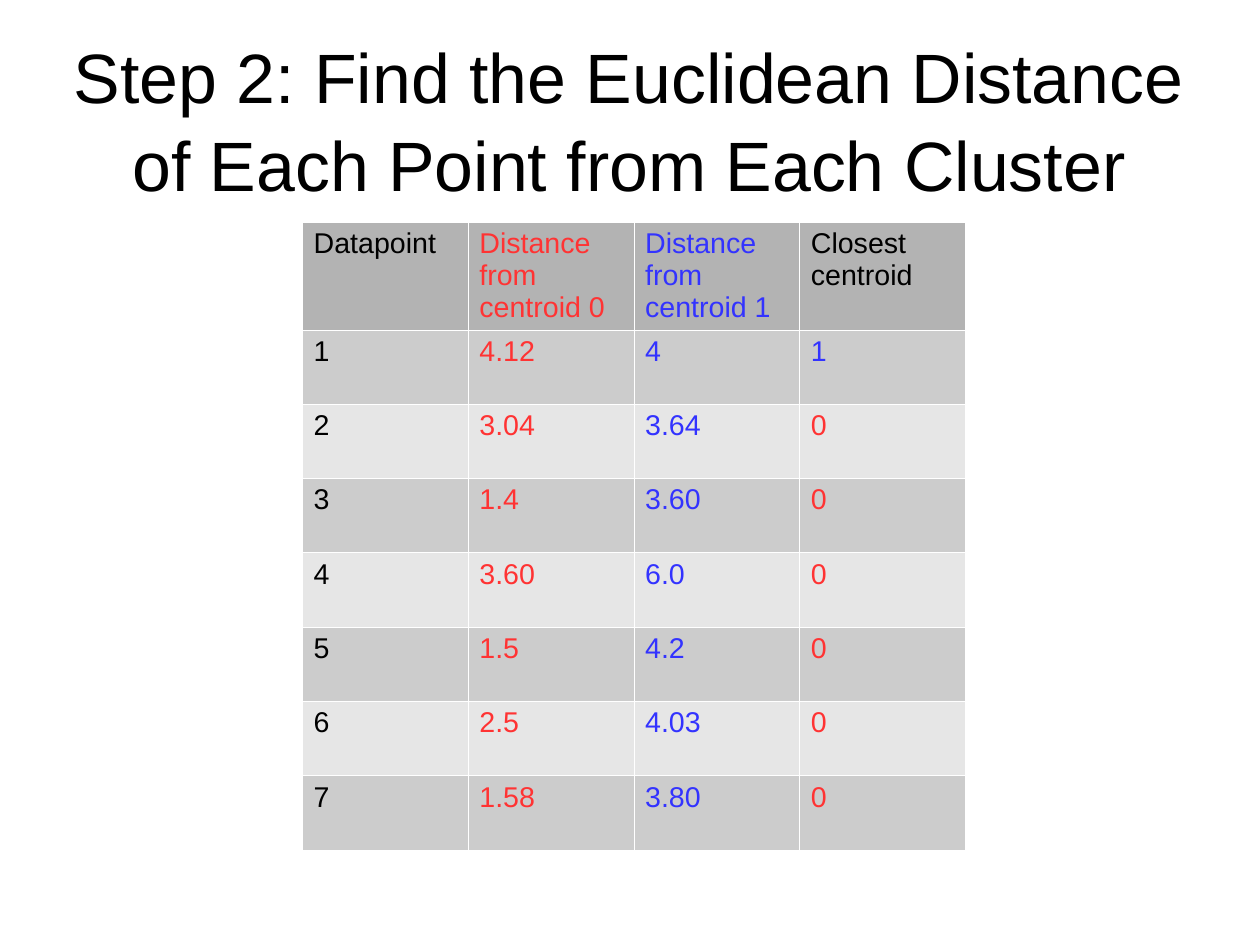
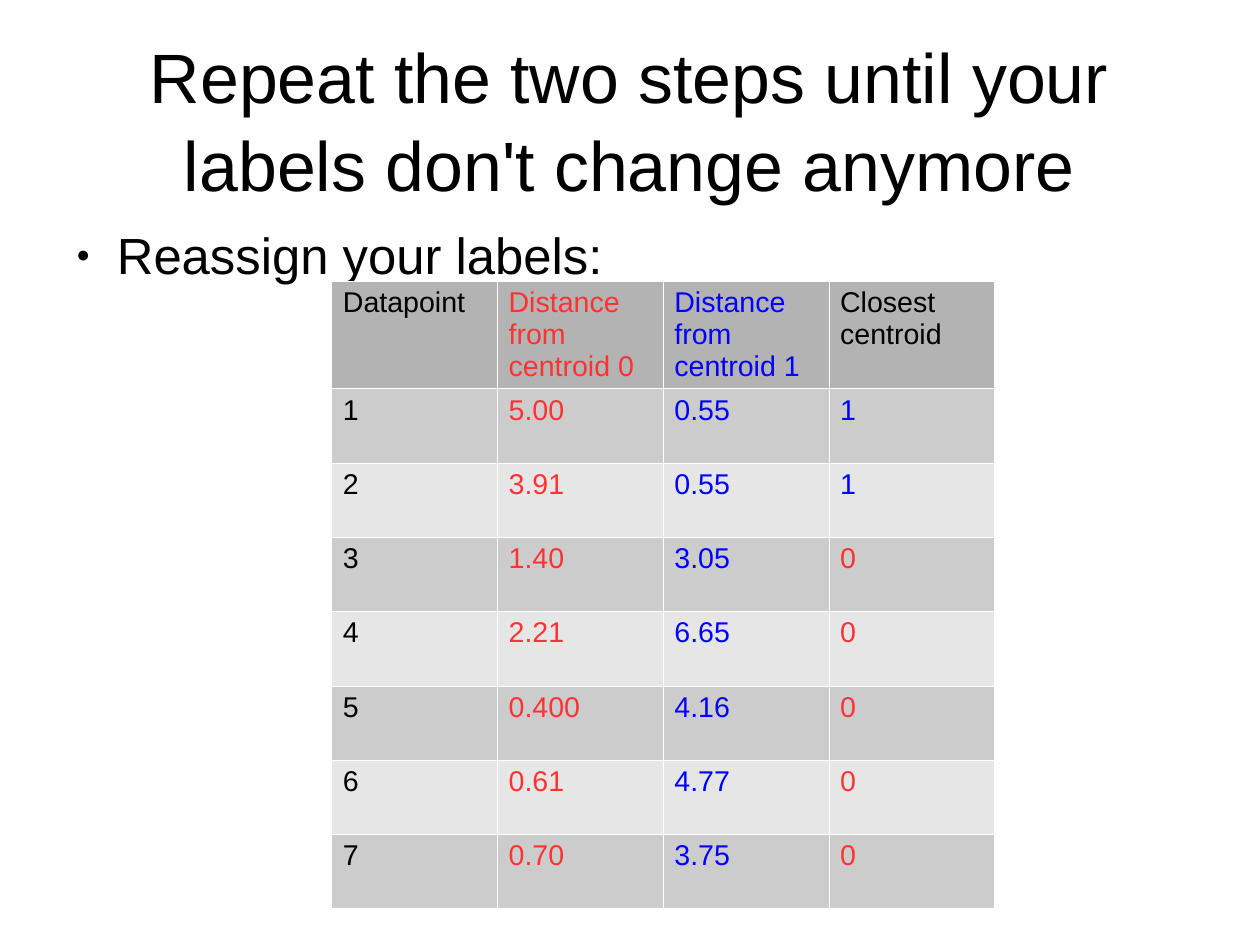
from dataclasses import dataclass

from lxml.etree import SubElement
from pptx import Presentation
from pptx.dml.color import RGBColor
from pptx.enum.text import MSO_ANCHOR, MSO_AUTO_SIZE, PP_ALIGN
from pptx.oxml.ns import qn
from pptx.util import Pt


@dataclass(frozen=True)
class Theme:
    """Colours, font and type sizes shared by the slides."""
    font: str = "Arial"
    title_size: float = 44
    body_size: float = 32
    table_size: float = 18
    text: str = "000000"
    centroid_0: str = "FF3333"
    soft_blue: str = "3333FF"
    pure_blue: str = "0000FF"
    header_fill: str = "B3B3B3"
    odd_fill: str = "CCCCCC"
    even_fill: str = "E6E6E6"
    border: str = "FFFFFF"
    border_width: float = 0.06


THEME = Theme()
TITLE_ONLY = 5
MARGIN = 39.6
CONTENT_WIDTH = 714.2
COLUMN_WIDTH = 104.4
HEADER_HEIGHT = 67.5
ROW_HEIGHT = 46.8

HEADERS = ["Datapoint", "Distance from centroid 0",
           "Distance from centroid 1", "Closest centroid"]
FIRST_DISTANCES = [
    ("4.12", "4", "1"), ("3.04", "3.64", "0"), ("1.4", "3.60", "0"),
    ("3.60", "6.0", "0"), ("1.5", "4.2", "0"), ("2.5", "4.03", "0"),
    ("1.58", "3.80", "0"),
]
REPEATED_DISTANCES = [
    ("5.00", "0.55", "1"), ("3.91", "0.55", "1"), ("1.40", "3.05", "0"),
    ("2.21", "6.65", "0"), ("0.400", "4.16", "0"), ("0.61", "4.77", "0"),
    ("0.70", "3.75", "0"),
]


def style_paragraph(paragraph, size, color):
    """Set the font, size and colour of a whole paragraph."""
    paragraph.font.name = THEME.font
    paragraph.font.size = Pt(size)
    paragraph.font.color.rgb = RGBColor.from_string(color)


def prepare_frame(text_frame, anchor):
    """Make a wrapping text frame without insets or automatic sizing."""
    text_frame.word_wrap = True
    text_frame.auto_size = MSO_AUTO_SIZE.NONE
    text_frame.vertical_anchor = anchor
    text_frame.margin_left = text_frame.margin_right = 0
    text_frame.margin_top = text_frame.margin_bottom = 0


def add_titled_slide(presentation, title):
    """Add a title-only slide and format its title."""
    slide = presentation.slides.add_slide(presentation.slide_layouts[TITLE_ONLY])
    shape = slide.shapes.title
    shape.left, shape.top = Pt(MARGIN), Pt(24)
    shape.width, shape.height = Pt(CONTENT_WIDTH), Pt(99.4)
    prepare_frame(shape.text_frame, MSO_ANCHOR.MIDDLE)
    shape.text_frame.text = title
    paragraph = shape.text_frame.paragraphs[0]
    paragraph.alignment = PP_ALIGN.CENTER
    paragraph.line_spacing = 1.05
    style_paragraph(paragraph, THEME.title_size, THEME.text)
    return slide


def add_bullet(slide, text, top):
    """Add one bulleted line across the content width."""
    shape = slide.shapes.add_textbox(Pt(MARGIN), Pt(top), Pt(CONTENT_WIDTH), Pt(40))
    prepare_frame(shape.text_frame, MSO_ANCHOR.TOP)
    paragraph = shape.text_frame.paragraphs[0]
    paragraph.text = text
    style_paragraph(paragraph, THEME.body_size, THEME.text)
    properties = paragraph._p.get_or_add_pPr()
    properties.set("marL", str(Pt(34)))
    properties.set("indent", str(Pt(-25.5)))
    bullet_color = SubElement(properties, qn("a:buClr"))
    SubElement(bullet_color, qn("a:srgbClr"), val=THEME.text)
    SubElement(properties, qn("a:buSzPct"), val="45000")
    SubElement(properties, qn("a:buFont"), typeface=THEME.font)
    SubElement(properties, qn("a:buChar"), char="●")
    # Default run properties have to follow the bullet settings.
    properties.append(properties.find(qn("a:defRPr")))


def add_borders(cell):
    """Draw a hairline on all four sides of a cell."""
    properties = cell._tc.get_or_add_tcPr()
    for side in ("lnL", "lnR", "lnT", "lnB"):
        line = SubElement(properties, qn(f"a:{side}"), w=str(Pt(THEME.border_width)))
        fill = SubElement(line, qn("a:solidFill"))
        SubElement(fill, qn("a:srgbClr"), val=THEME.border)


def fill_cell(cell, text, color, fill):
    """Write and format one table cell."""
    cell.text = text
    style_paragraph(cell.text_frame.paragraphs[0], THEME.table_size, color)
    add_borders(cell)
    cell.fill.solid()
    cell.fill.fore_color.rgb = RGBColor.from_string(fill)


def add_distance_table(slide, left, top, distances, blue):
    """Add the distances, with the closest centroid in that centroid's colour."""
    rows = [HEADERS] + [(str(number), *values)
                        for number, values in enumerate(distances, 1)]
    table = slide.shapes.add_table(
        len(rows), len(HEADERS), Pt(left), Pt(top),
        Pt(COLUMN_WIDTH * len(HEADERS)),
        Pt(HEADER_HEIGHT + ROW_HEIGHT * len(distances))).table
    table.first_row = table.horz_banding = False
    for column in table.columns:
        column.width = Pt(COLUMN_WIDTH)
    closest_colors = {"0": THEME.centroid_0, "1": blue}
    for number, values in enumerate(rows):
        table.rows[number].height = Pt(ROW_HEIGHT if number else HEADER_HEIGHT)
        fill = THEME.odd_fill if number % 2 else THEME.even_fill
        if number == 0:
            fill = THEME.header_fill
        colors = (THEME.text, THEME.centroid_0, blue,
                  closest_colors.get(values[-1], THEME.text))
        for column, (value, color) in enumerate(zip(values, colors)):
            fill_cell(table.cell(number, column), value, color, fill)


def main():
    """Build and save the two slides."""
    presentation = Presentation()
    presentation.slide_width, presentation.slide_height = Pt(793.7), Pt(595.3)

    slide = add_titled_slide(
        presentation,
        "Step 2: Find the Euclidean Distance of Each Point from Each Cluster")
    add_distance_table(slide, 190.4, 140, FIRST_DISTANCES, THEME.soft_blue)

    slide = add_titled_slide(
        presentation,
        "Repeat the two steps until your labels don't change anymore")
    add_bullet(slide, "Reassign your labels:", 141)
    add_distance_table(slide, 208.8, 177, REPEATED_DISTANCES, THEME.pure_blue)

    presentation.save("out.pptx")


main()
